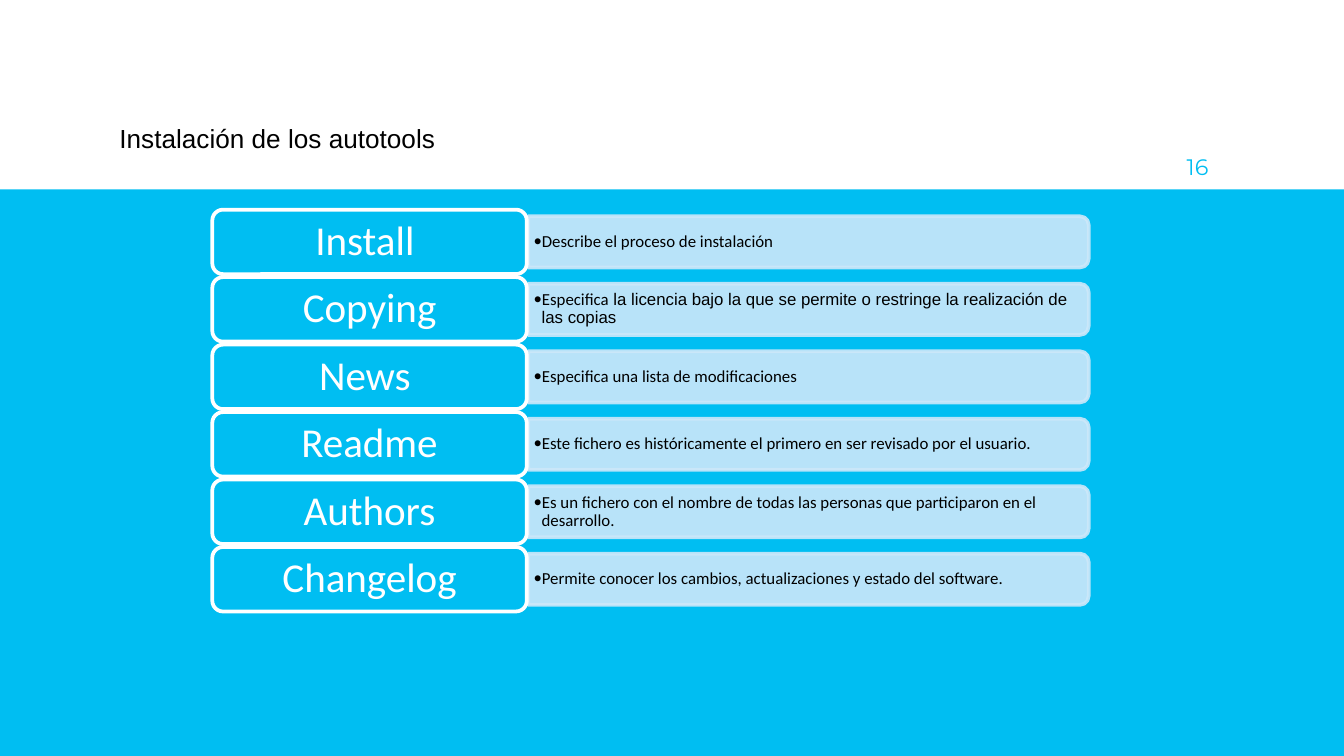
from lxml import etree
from pptx import Presentation
from pptx.dml.color import RGBColor
from pptx.enum import shapes, text
from pptx.oxml.ns import qn
from pptx.util import Inches, Pt

CYAN = RGBColor(0x00, 0xBE, 0xF2)
PALE = RGBColor(0xCC, 0xE8, 0xFA)
WHITE = RGBColor(0xFF, 0xFF, 0xFF)
BLACK = RGBColor(0x00, 0x00, 0x00)

SLIDE_WIDTH = 10
SLIDE_HEIGHT = SLIDE_WIDTH * 9 / 16
BAND_TOP = 1.41

# Each description is a list of (wording, font) runs.
FILES = [
    ("Install ", [("Describe el proceso de instalación ", "Calibri")]),
    ("Copying", [("Especifica", "Calibri"),
                 (" la licencia bajo la que se permite o restringe la realización de las copias",
                  "Arial")]),
    ("News ", [("Especifica una lista de modificaciones", "Calibri")]),
    ("Readme", [("Este fichero es históricamente el primero en ser revisado por el usuario.",
                 "Calibri")]),
    ("Authors", [("Es un fichero con el nombre de todas las personas que participaron en el desarrollo.",
                  "Calibri")]),
    ("Changelog", [("Permite conocer los cambios, actualizaciones y estado del software.",
                    "Calibri")]),
]

FIRST_TOP, LAST_TOP = 1.56, 4.07
PITCH = (LAST_TOP - FIRST_TOP) / (len(FILES) - 1)
LABEL_LEFT, LABEL_WIDTH, LABEL_HEIGHT = 1.58, 2.34, 0.48
LABEL_INSET = 0.02
BAR_LEFT, BAR_LENGTH, BAR_THICKNESS = 3.93, 4.17, 0.38
TEXT_WIDTH, TEXT_HEIGHT = 4.15, 0.34


def add_block(kind, left, top, width, height, fill, line=None, alpha=None):
    """Add a flat preset shape; alpha is the opacity of fill and line in percent."""
    block = page.shapes.add_shape(kind, Inches(left), Inches(top), Inches(width), Inches(height))
    block.shadow.inherit = False
    block.fill.solid()
    block.fill.fore_color.rgb = fill
    if line is None:
        block.line.fill.background()
    else:
        block.line.color.rgb = line
        block.line.width = Pt(2)
    if alpha:
        for color in block._element.spPr.iter(qn("a:srgbClr")):
            etree.SubElement(color, qn("a:alpha"), val=str(alpha * 1000))
    return block


def add_text(place, runs, size, color, align, anchor, insets, spacing=1.0):
    """Add a one-paragraph box; insets are (sides, top and bottom) in inches."""
    frame = page.shapes.add_textbox(*map(Inches, place)).text_frame
    sides, ends = map(Inches, insets)
    frame_format = {"word_wrap": True, "vertical_anchor": anchor, "margin_left": sides,
                    "margin_right": sides, "margin_top": ends, "margin_bottom": ends}
    for name, value in frame_format.items():
        setattr(frame, name, value)
    para = frame.paragraphs[0]
    para.alignment = align
    para.line_spacing = spacing
    for wording, font in runs:
        span = para.add_run()
        span.text = wording
        for name, value in {"name": font, "size": Pt(size)}.items():
            setattr(span.font, name, value)
        span.font.color.rgb = color
    return para


deck = Presentation()
deck.slide_width, deck.slide_height = Inches(SLIDE_WIDTH), Inches(SLIDE_HEIGHT)
page = deck.slides.add_slide(deck.slide_layouts[6])
preset, align, anchor = shapes.MSO_SHAPE, text.PP_ALIGN, text.MSO_ANCHOR

add_block(preset.RECTANGLE, 0, BAND_TOP, SLIDE_WIDTH, SLIDE_HEIGHT - BAND_TOP, CYAN)
add_text((8.49, 0.71, 0.6, 0.73), [("16", "Montserrat")], 12, CYAN,
         align.RIGHT, anchor.BOTTOM, (0.1, 0.1))

for row, (name, description) in enumerate(FILES):
    top = FIRST_TOP + row * PITCH
    middle = top + LABEL_HEIGHT / 2

    # The bar stands upright and is turned so its round corners face right.
    bar = add_block(preset.ROUND_2_SAME_RECTANGLE,
                    BAR_LEFT + (BAR_LENGTH - BAR_THICKNESS) / 2, middle - BAR_LENGTH / 2,
                    BAR_THICKNESS, BAR_LENGTH, PALE, PALE, alpha=90)
    bar.rotation = 90

    para = add_text((BAR_LEFT, middle - TEXT_HEIGHT / 2, TEXT_WIDTH, TEXT_HEIGHT), description,
                    9, BLACK, align.LEFT, anchor.MIDDLE, (0.04, 0.02), 0.9)
    para.level = 1
    props = para._p.get_or_add_pPr()
    props.set("marL", str(Inches(0.06)))
    props.set("indent", str(-Inches(0.06)))
    bullet_color = etree.SubElement(props, qn("a:buClr"))
    etree.SubElement(bullet_color, qn("a:srgbClr"), val=str(BLACK))
    etree.SubElement(props, qn("a:buFont"), typeface="Calibri")
    etree.SubElement(props, qn("a:buChar"), char="•")

    add_block(preset.ROUNDED_RECTANGLE, LABEL_LEFT, top, LABEL_WIDTH, LABEL_HEIGHT, CYAN, WHITE)
    add_text((LABEL_LEFT + LABEL_INSET, top + LABEL_INSET,
              LABEL_WIDTH - 2 * LABEL_INSET, LABEL_HEIGHT - 2 * LABEL_INSET),
             [(name, "Calibri")], 22, WHITE, align.CENTER, anchor.MIDDLE, (0.09, 0.05), 0.9)

add_text((0.79, 0.86, 3, 0.57), [("Instalación de los autotools", "Arial")], 14, BLACK,
         align.LEFT, anchor.TOP, (0.1, 0.05))

deck.save("out.pptx")
